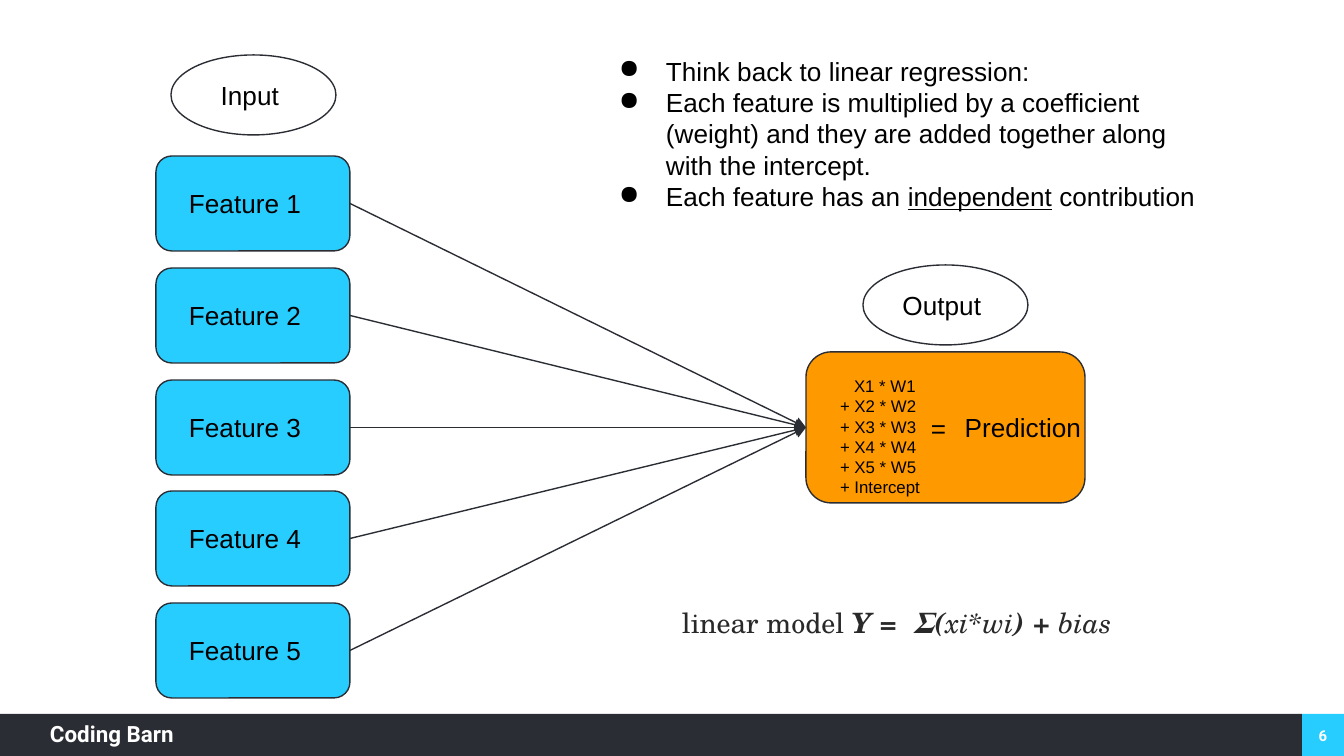
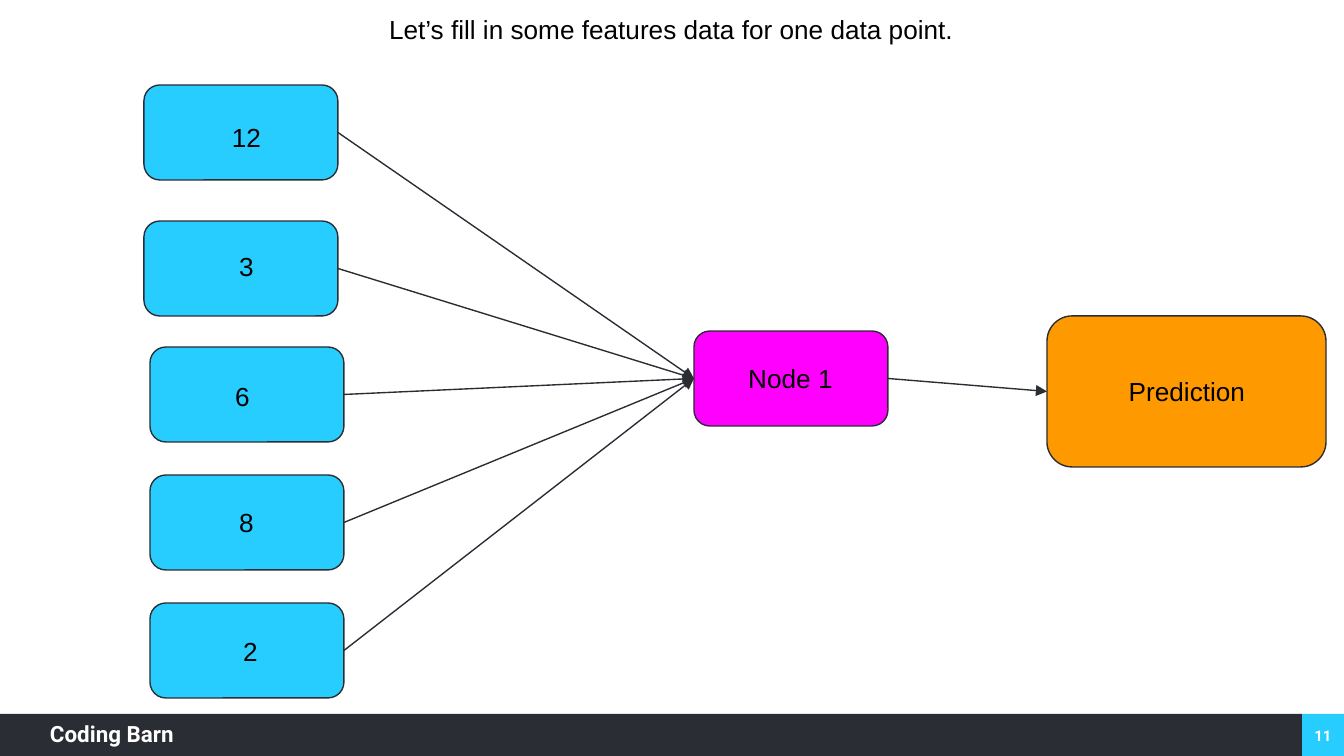
from dataclasses import dataclass

from lxml import etree
from pptx import Presentation
from pptx.dml.color import RGBColor
from pptx.enum.shapes import MSO_CONNECTOR, MSO_SHAPE
from pptx.enum.text import MSO_ANCHOR, MSO_AUTO_SIZE, PP_ALIGN
from pptx.oxml.ns import qn
from pptx.util import Emu, Pt

RECT, ROUND, OVAL = MSO_SHAPE.RECTANGLE, MSO_SHAPE.ROUNDED_RECTANGLE, MSO_SHAPE.OVAL
STRAIGHT = MSO_CONNECTOR.STRAIGHT
LEFT, CENTER = PP_ALIGN.LEFT, PP_ALIGN.CENTER
TOP, MIDDLE = MSO_ANCHOR.TOP, MSO_ANCHOR.MIDDLE
GROW = MSO_AUTO_SIZE.SHAPE_TO_FIT_TEXT
LEFT_SITE, RIGHT_SITE = 1, 3
SCALE = 914400 / 134.4
SLIDE_W, SLIDE_H = 1344, 756
BAND_TOP, BAND_SPLIT = 714, 1302
BOX_W, BOX_H = 194, 95
OUT_W, OUT_H = 279, 151


@dataclass(frozen=True)
class Theme:
    """Colours, fonts and type sizes of the deck."""
    dark: str = "2A2D34"
    blue: str = "28CDFF"
    orange: str = "FF9900"
    magenta: str = "FF00FF"
    white: str = "FFFFFF"
    black: str = "000000"
    ink: str = "292929"
    body_font: str = "Arial"
    brand_font: str = "Roboto"
    formula_font: str = "TeX Gyre Schola"
    body: int = 14
    formula: int = 15
    brand: int = 12
    sum: int = 9
    number: int = 8
    line: float = 0.75


T = Theme()
BODY = {"name": T.body_font, "size": T.body, "color": T.black}
SUM = {**BODY, "size": T.sum}
FORMULA = {"name": T.formula_font, "size": T.formula, "color": T.ink}
BRAND = {"name": T.brand_font, "size": T.brand, "color": T.white, "bold": True}
NUMBER = {**BRAND, "size": T.number}


def px(value):
    """Turn pixels into EMU."""
    return Emu(round(value * SCALE))


class Deck:
    """Holds the presentation, its style and the current slide."""

    def __init__(self):
        """Start an empty deck of the right size."""
        self.prs = Presentation()
        self.prs.slide_width, self.prs.slide_height = px(SLIDE_W), px(SLIDE_H)
        self.s = None

    def slide(self, number):
        """Add a slide with the footer band and its number."""
        self.s = self.prs.slides.add_slide(self.prs.slide_layouts[6])
        height = SLIDE_H - BAND_TOP
        self.shape(RECT, BAND_SPLIT, BAND_TOP, SLIDE_W - BAND_SPLIT, height, T.blue, None)
        self.shape(RECT, 0, BAND_TOP, BAND_SPLIT, height, T.dark, None)
        self.text(50, 720, 211, 31, "Coding Barn", BRAND, inset=(0, 0), grow=False)
        self.text(1303, 716, 40, 40, str(number), NUMBER, CENTER, MIDDLE, (9, 5), False)

    def shape(self, kind, x, y, w, h, fill, line=T.dark):
        """Add a filled preset shape, outlined unless line is None."""
        sp = self.s.shapes.add_shape(kind, px(x), px(y), px(w), px(h))
        sp.shadow.inherit = False
        sp.fill.solid()
        sp.fill.fore_color.rgb = RGBColor.from_string(fill)
        if line:
            sp.line.color.rgb = RGBColor.from_string(line)
            sp.line.width = Pt(T.line)
        else:
            sp.line.fill.background()
        return sp

    def box(self, x, y, fill=T.blue, w=BOX_W, h=BOX_H):
        """Add a rounded box of the network."""
        return self.shape(ROUND, x, y, w, h, fill)

    def oval(self, x, y, text):
        """Add a white captioned ellipse."""
        sp = self.shape(OVAL, x, y, 165, 80, T.white)
        self.fill_frame(sp.text_frame, [text], BODY, CENTER, MIDDLE, (13, 13))

    def text(self, x, y, w, h, text, style=BODY, align=LEFT, anchor=TOP,
             inset=(13, 13), grow=True):
        """Add a text box; text is one string or a list of paragraphs."""
        tf = self.s.shapes.add_textbox(px(x), px(y), px(w), px(h)).text_frame
        self.fill_frame(tf, [text] if isinstance(text, str) else text,
                        style, align, anchor, inset)
        if grow:
            tf.auto_size = GROW
        return tf

    def fill_frame(self, tf, paragraphs, style, align, anchor, inset):
        """Fill a frame; a paragraph is a string or a list of (text, changes)."""
        side, edge = map(px, inset)
        frame = {"word_wrap": True, "vertical_anchor": anchor, "margin_left": side,
                 "margin_right": side, "margin_top": edge, "margin_bottom": edge}
        for name, value in frame.items():
            setattr(tf, name, value)
        for i, runs in enumerate(paragraphs):
            p = tf.add_paragraph() if i else tf.paragraphs[0]
            p.alignment = align
            for text, changes in [(runs, {})] if isinstance(runs, str) else runs:
                r = p.add_run()
                r.text = text
                self.style_font(r.font, {**style, **changes})

    @staticmethod
    def style_font(font, values):
        """Set font attributes from a dict."""
        for name, value in values.items():
            if name == "color":
                font.color.rgb = RGBColor.from_string(value)
            else:
                setattr(font, name, Pt(value) if name == "size" else value)

    @staticmethod
    def indent(p, margin, hanging=0):
        """Set the left margin and hanging indent of a paragraph."""
        pPr = p._p.get_or_add_pPr()
        pPr.set("marL", str(px(margin)))
        pPr.set("indent", str(-px(hanging)))
        return pPr

    def bullets(self, x, y, w, h, paragraphs):
        """Add a bulleted text box."""
        for p in self.text(x, y, w, h, paragraphs).paragraphs:
            pPr = self.indent(p, 67, 47)
            color = etree.SubElement(pPr, qn("a:buClr"))
            etree.SubElement(color, qn("a:srgbClr")).set("val", T.black)
            etree.SubElement(pPr, qn("a:buChar")).set("char", "●")

    def arrow(self, start, end):
        """Join the right side of one shape to the left side of another."""
        line = self.s.shapes.add_connector(STRAIGHT, 0, 0, 0, 0)
        line.begin_connect(start, RIGHT_SITE)
        line.end_connect(end, LEFT_SITE)
        line.line.color.rgb = RGBColor.from_string(T.dark)
        line.line.width = Pt(T.line)
        etree.SubElement(line.line._get_or_add_ln(), qn("a:tailEnd")).set("type", "triangle")
        etree.SubElement(line._element.spPr, qn("a:effectLst"))


def linear_model(d):
    """Draw five features that feed one weighted sum."""
    d.slide(6)
    tops = [round(156 + 111.8 * i) for i in range(5)]
    features = [d.box(156, y) for y in tops]
    output = d.box(806, 352, T.orange, OUT_W, OUT_H)
    d.text(926, 398, 194, 59, "Prediction", align=CENTER)
    for i, y in enumerate(tops, 1):
        d.text(176, y + 18, 153, 59, f"Feature {i}")
    d.bullets(586, 42, 625, 249, [
        "Think back to linear regression:",
        "Each feature is multiplied by a coefficient (weight) and they are "
        "added together along with the intercept.",
        [("Each feature has an ", {}), ("independent", {"underline": True}),
         (" contribution", {})]])
    for feature in features:
        d.arrow(feature, output)
    d.oval(171, 55, "Input ")
    d.oval(863, 265, "Output ")
    terms = ["X1 * W1"] + [f"+ X{i} * W{i}" for i in range(2, 6)] + ["+ Intercept"]
    tf = d.text(827, 363, 108, 149, terms, SUM)
    d.indent(tf.paragraphs[0], 14)
    d.text(918, 399, 87, 59, "=")
    strong, slanted = {"bold": True, "italic": True}, {"italic": True}
    d.text(669, 593, 497, 60, [[
        ("linear model ", {}), ("Y =  Σ(", strong), ("xi*wi", slanted),
        (") + ", strong), ("bias", slanted)]], FORMULA)


def data_point(d):
    """Draw one data point that passes through a node."""
    d.slide(11)
    corners = [(144, 85), (144, 221)] + [(150, 347 + 128 * i) for i in range(3)]
    values = [d.box(x, y) for x, y in corners]
    prediction = d.box(1047, 316, T.orange, OUT_W, OUT_H)
    node = d.box(694, 331, T.magenta)
    for x, y, w, h, text, align in (
            (1090, 362, 194, 59, "Prediction", CENTER),
            (170, 108, 153, 59, "12", CENTER),
            (170, 237, 153, 59, "3", CENTER),
            (222, 367, 63, 90, "6", LEFT),
            (208, 493, 77, 59, "8", CENTER),
            (230, 622, 32, 59, "2", LEFT),
            (714, 349, 153, 59, "Node 1", CENTER),
            (376, 0, 731, 59, "Let’s fill in some features data for one data point.", LEFT)):
        d.text(x, y, w, h, text, align=align)
    for value in values:
        d.arrow(value, node)
    d.arrow(node, prediction)


deck = Deck()
linear_model(deck)
data_point(deck)
deck.prs.save("out.pptx")
